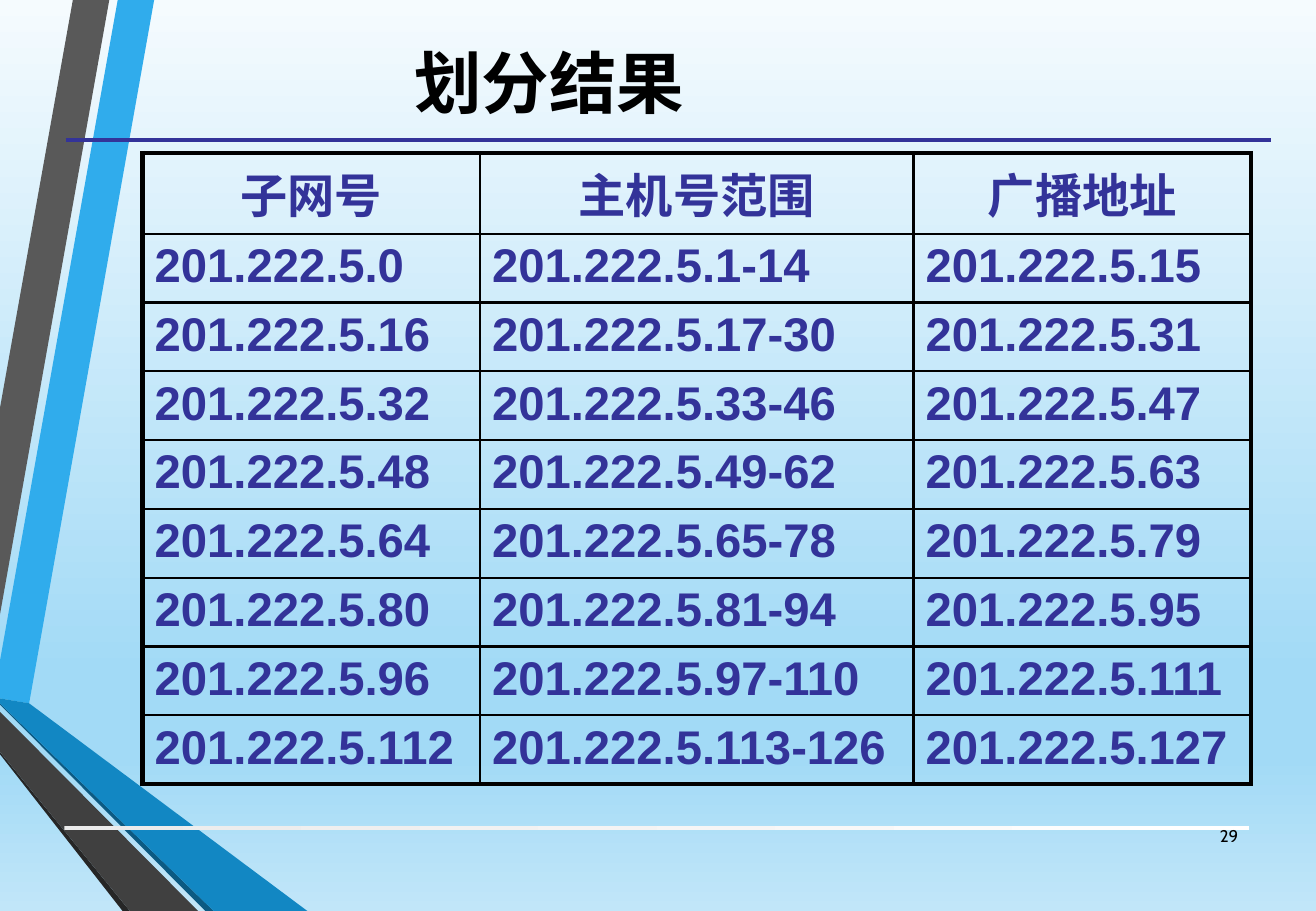
import dataclasses

import lxml.etree
import pptx
import pptx.dml.fill
import pptx.enum.shapes
import pptx.enum.text
import pptx.oxml.ns
import pptx.slide
import pptx.table
import pptx.text.text
import pptx.util

Pt = pptx.util.Pt
Align = pptx.enum.text.PP_ALIGN
qn = pptx.oxml.ns.qn

COLORS = {
    "black": "000000",
    "indigo": "333399",
    "sky": "30ACEC",
    "blue": "1287C3",
    "deep blue": "0C5A82",
    "grey": "595959",
    "dark grey": "404040",
    "near black": "262626",
    "mist": "F5FBFE",
    "light blue": "A2DAF6",
    "pale blue": "C1E6F9",
    "silver": "EBEBEB",
    "white": "FFFFFF",
}
TEXT_FONT = "Cabin"
TABLE_FONT = "Arial"
THIN, THICK = 1.5, 3

HEADINGS = ("子网号", "主机号范围", "广播地址")
NETWORK = "201.222.5"
SUBNET_SIZE = 16
SUBNET_COUNT = 8
COLUMN_WIDTHS = (200, 257, 200)
HEADING_HEIGHT, SUBNET_HEIGHT = 45.4, 40.8


@dataclasses.dataclass(frozen=True)
class Ribbon:
    color: str
    corners: tuple[tuple[float, float], ...]


@dataclasses.dataclass(frozen=True)
class GradientStop:
    percent: int
    color: str


RIBBONS = (
    Ribbon("sky", ((0, 391.7), (0, 414), (17.3, 416.9), (91.4, 0), (69.8, 0))),
    Ribbon("grey", ((64.8, 0), (43.2, 0), (0, 241.9), (0, 364.3))),
    Ribbon("near black", ((0, 445.7), (0, 447.1), (72.7, 540), (77, 540))),
    Ribbon("deep blue", ((0, 416.9), (0, 417.6), (121.7, 540), (126.7, 540))),
    Ribbon("blue", ((0, 416.9), (126.7, 540), (182.2, 540), (17.3, 416.9), (0, 414))),
    Ribbon("dark grey", ((0, 445.7), (77, 540), (117.4, 540), (0, 421.9))),
)
BACKGROUND_STOPS = (
    GradientStop(0, "mist"),
    GradientStop(74, "light blue"),
    GradientStop(83, "light blue"),
    GradientStop(100, "pale blue"),
)
FOOTER_STOPS = (GradientStop(0, "silver"), GradientStop(100, "white"))


def rgb(color: str) -> pptx.dml.color.RGBColor:
    return pptx.dml.color.RGBColor.from_string(COLORS[color])


def paint_gradient(fill: pptx.dml.fill.FillFormat, owner: lxml.etree.ElementBase,
                   stops: tuple[GradientStop, ...], angle: float) -> None:
    """Fill with any number of stops; angle runs counter-clockwise."""
    fill.gradient()
    fill.gradient_angle = angle
    stop_list = owner.find(".//" + qn("a:gsLst"))
    for default_stop in list(stop_list):
        stop_list.remove(default_stop)
    for stop in stops:
        entry = lxml.etree.SubElement(stop_list, qn("a:gs"), pos=str(stop.percent * 1000))
        lxml.etree.SubElement(entry, qn("a:srgbClr"), val=COLORS[stop.color])


def style_paragraph(paragraph: pptx.text.text._Paragraph, font_name: str, size: float,
                    color: str, bold: bool, alignment: Align) -> None:
    paragraph.alignment = alignment
    paragraph.font.name = font_name
    paragraph.font.size = Pt(size)
    paragraph.font.bold = bold
    paragraph.font.color.rgb = rgb(color)


def draw_ribbon(slide: pptx.slide.Slide, ribbon: Ribbon) -> None:
    corners = [(Pt(x), Pt(y)) for x, y in ribbon.corners]
    builder = slide.shapes.build_freeform(*corners[0])
    builder.add_line_segments(corners[1:], close=True)
    shape = builder.convert_to_shape()
    shape.shadow.inherit = False
    shape.fill.solid()
    shape.fill.fore_color.rgb = rgb(ribbon.color)
    shape.line.fill.background()


def draw_rules(slide: pptx.slide.Slide) -> None:
    """Draw the line below the title and the bar above the page number."""
    footer_bar = slide.shapes.add_shape(
        pptx.enum.shapes.MSO_SHAPE.RECTANGLE, Pt(38.2), Pt(489.6), Pt(702), Pt(2.2))
    footer_bar.shadow.inherit = False
    footer_bar.line.fill.background()
    paint_gradient(footer_bar.fill, footer_bar.element, FOOTER_STOPS, 0)

    title_rule = slide.shapes.add_connector(
        pptx.enum.shapes.MSO_CONNECTOR.STRAIGHT, Pt(38.9), Pt(82.8), Pt(753.1), Pt(82.8))
    title_rule.line.color.rgb = rgb("indigo")
    title_rule.line.width = Pt(2.25)
    lxml.etree.SubElement(title_rule.element.spPr, qn("a:effectLst"))


def write_title(slide: pptx.slide.Slide) -> None:
    title = slide.shapes.title
    title.left, title.top, title.width, title.height = Pt(31), Pt(3.6), Pt(589), Pt(89.3)
    title.text_frame.text = "划分结果"
    title.text_frame.vertical_anchor = pptx.enum.text.MSO_ANCHOR.MIDDLE
    style_paragraph(title.text_frame.paragraphs[0], TEXT_FONT, 40, "black", True, Align.CENTER)


def write_page_number(slide: pptx.slide.Slide) -> None:
    page_number = slide.shapes.add_textbox(Pt(704.2), Pt(481), Pt(36.7), Pt(28.8)).text_frame
    page_number.word_wrap = True
    page_number.vertical_anchor = pptx.enum.text.MSO_ANCHOR.MIDDLE
    page_number.text = "29"
    style_paragraph(page_number.paragraphs[0], TEXT_FONT, 10, "black", False, Align.RIGHT)


def set_borders(cell: pptx.table._Cell, widths: dict[str, float]) -> None:
    properties = cell._tc.get_or_add_tcPr()
    for side, width in widths.items():
        border = lxml.etree.SubElement(properties, qn(f"a:ln{side}"), w=str(Pt(width)))
        paint = lxml.etree.SubElement(border, qn("a:solidFill"))
        lxml.etree.SubElement(paint, qn("a:srgbClr"), val=COLORS["black"])


def subnet_rows() -> list[tuple[str, ...]]:
    starts = range(0, SUBNET_COUNT * SUBNET_SIZE, SUBNET_SIZE)
    return [
        (f"{NETWORK}.{start}",
         f"{NETWORK}.{start + 1}-{start + SUBNET_SIZE - 2}",
         f"{NETWORK}.{start + SUBNET_SIZE - 1}")
        for start in starts
    ]


def draw_subnet_table(slide: pptx.slide.Slide) -> None:
    rows = [HEADINGS, *subnet_rows()]
    last_row, last_column = len(rows) - 1, len(HEADINGS) - 1
    height = HEADING_HEIGHT + SUBNET_COUNT * SUBNET_HEIGHT
    table = slide.shapes.add_table(
        len(rows), len(HEADINGS), Pt(84.5), Pt(90.8), Pt(sum(COLUMN_WIDTHS)), Pt(height)).table
    table.first_row = table.horz_banding = False
    for column, width in zip(table.columns, COLUMN_WIDTHS):
        column.width = Pt(width)
    for r, texts in enumerate(rows):
        table.rows[r].height = Pt(SUBNET_HEIGHT if r else HEADING_HEIGHT)
        for c, text in enumerate(texts):
            cell = table.cell(r, c)
            cell.text = text
            style_paragraph(cell.text_frame.paragraphs[0], TABLE_FONT, 28, "indigo", True,
                            Align.LEFT if r else Align.CENTER)
            set_borders(cell, {
                "L": THICK if c == 0 else THIN,
                "R": THICK if c == last_column else THIN,
                "T": THICK if r == 0 else THIN,
                "B": THICK if r == last_row else THIN,
            })
            cell.fill.background()


def main() -> None:
    presentation = pptx.Presentation()
    presentation.slide_width, presentation.slide_height = Pt(780), Pt(540)
    title_only = presentation.slide_layouts.get_by_name("Title Only")
    slide = presentation.slides.add_slide(title_only)
    paint_gradient(slide.background.fill, slide.element, BACKGROUND_STOPS, 270)
    for ribbon in RIBBONS:
        draw_ribbon(slide, ribbon)
    draw_rules(slide)
    write_title(slide)
    draw_subnet_table(slide)
    write_page_number(slide)
    presentation.save("out.pptx")


if __name__ == "__main__":
    main()
